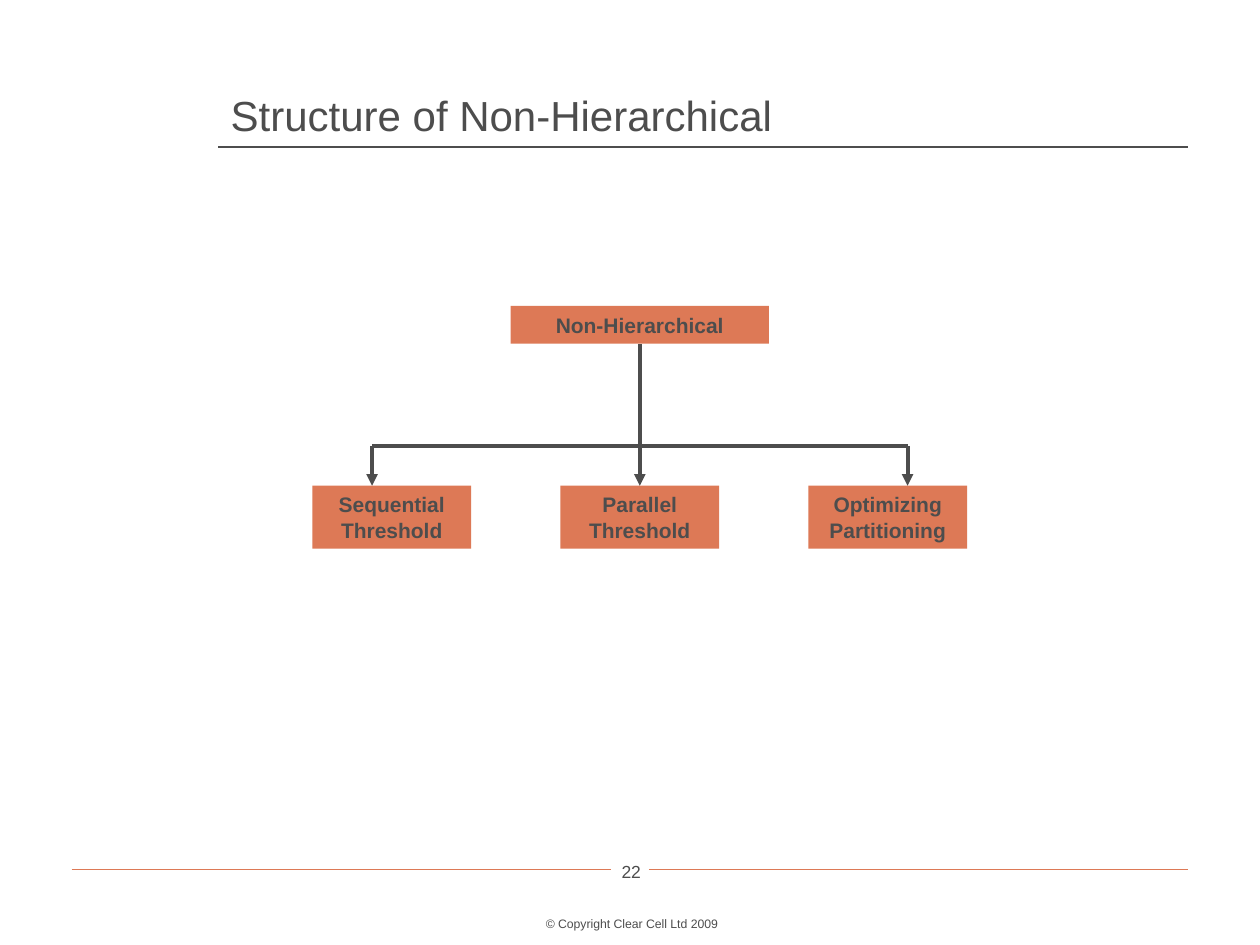
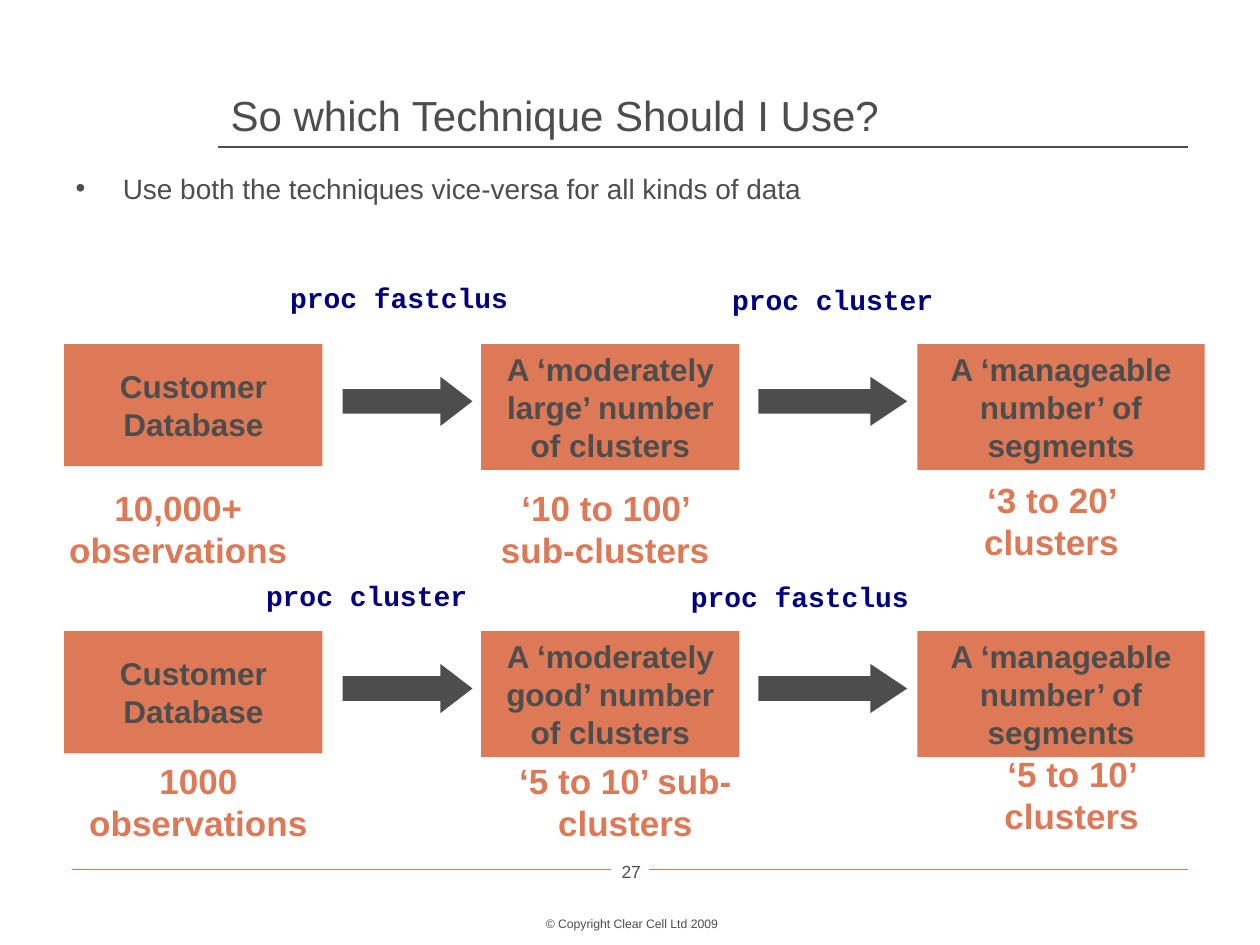
from lxml import etree
from pptx import Presentation
from pptx.dml.color import RGBColor
from pptx.enum.shapes import MSO_CONNECTOR, MSO_SHAPE
from pptx.enum.text import MSO_ANCHOR, MSO_AUTO_SIZE, PP_ALIGN
from pptx.oxml.ns import qn
from pptx.util import Pt

STRAIGHT = MSO_CONNECTOR.STRAIGHT
RECTANGLE, RIGHT_ARROW = MSO_SHAPE.RECTANGLE, MSO_SHAPE.RIGHT_ARROW
TOP, MIDDLE, BOTTOM = MSO_ANCHOR.TOP, MSO_ANCHOR.MIDDLE, MSO_ANCHOR.BOTTOM
LEFT, CENTER = PP_ALIGN.LEFT, PP_ALIGN.CENTER
FIXED_SIZE = MSO_AUTO_SIZE.NONE

COLORS = {"text": "4D4D4D", "accent": "DD7956", "code": "000080"}


def write_text(shape, text, size, color="text", font="Arial", bold=False,
               align=CENTER, anchor=TOP, wrap=True):
    frame = shape.text_frame
    frame.text = text
    paragraph = frame.paragraphs[0]
    frame_format = {"auto_size": FIXED_SIZE, "word_wrap": wrap, "vertical_anchor": anchor}
    paragraph_format = {"alignment": align, "space_before": Pt(0)}
    font_format = {"name": font, "size": Pt(size), "bold": bold}
    run_font = paragraph.runs[0].font
    for target, values in ((frame, frame_format), (paragraph, paragraph_format),
                           (run_font, font_format)):
        for name, value in values.items():
            setattr(target, name, value)
    run_font.color.rgb = RGBColor.from_string(COLORS[color])


def add_line(slide, x1, y1, x2, y2, color="text", width=0.75, arrow=False):
    line = slide.shapes.add_connector(STRAIGHT, Pt(x1), Pt(y1), Pt(x2), Pt(y2))
    line.line.color.rgb = RGBColor.from_string(COLORS[color])
    line.line.width = Pt(width)
    if arrow:
        etree.SubElement(line.line._get_or_add_ln(), qn("a:tailEnd"), type="triangle")
    etree.SubElement(line._element.spPr, qn("a:effectLst"))


presentation = Presentation()
presentation.slide_width, presentation.slide_height = Pt(720), Pt(540)

# Shared title style, rules and footer
slides = []
for layout_index, title, number in ((5, "Structure of Non-Hierarchical", "22"),
                                    (1, "So which Technique Should I Use?", "27")):
    slide = presentation.slides.add_slide(presentation.slide_layouts[layout_index])
    slides.append(slide)
    heading = slide.shapes.title
    heading.left, heading.top, heading.width, heading.height = Pt(124.6), Pt(43.2), Pt(560), Pt(40.3)
    write_text(heading, title, 24, align=LEFT, anchor=BOTTOM)
    add_line(slide, 124.6, 84, 679, 84)
    for start, end in ((41, 349.2), (370.8, 679)):
        add_line(slide, start, 496.8, end, 496.8, "accent")
    for text, size, left, top, width, height in (
            (number, 10, 345.6, 488.2, 30.2, 23.8),
            ("© Copyright Clear Cell Ltd 2009", 7, 264.2, 519.8, 193.7, 15.8)):
        footer = slide.shapes.add_textbox(Pt(left), Pt(top), Pt(width), Pt(height))
        write_text(footer, text, size)

structure_slide, technique_slide = slides

# Tree: parent box, trunk, crossbar and three child boxes
CENTER_X, BRANCH_STEP, CHILD_STEP = 365.6, 153, 141.7
PARENT_BOTTOM, CROSSBAR_Y, CHILD_TOP = 196.6, 254.9, 277.6
tree_boxes = [("Non-Hierarchical", CENTER_X, 174.8, 147.6, 21.6)]
for offset, label in zip((-1, 0, 1), ("Sequential Threshold", "Parallel Threshold",
                                      "Optimizing Partitioning")):
    tree_boxes.append((label, CENTER_X + offset * CHILD_STEP, CHILD_TOP, 90.7, 36))
    branch_x = CENTER_X + offset * BRANCH_STEP
    add_line(structure_slide, branch_x, CROSSBAR_Y, branch_x, CHILD_TOP, width=2.25, arrow=True)
add_line(structure_slide, CENTER_X - BRANCH_STEP, CROSSBAR_Y,
         CENTER_X + BRANCH_STEP, CROSSBAR_Y, width=2.25)
add_line(structure_slide, CENTER_X, PARENT_BOTTOM, CENTER_X, CROSSBAR_Y, width=2.25)
for label, middle, top, width, height in tree_boxes:
    box = structure_slide.shapes.add_shape(
        RECTANGLE, Pt(middle - width / 2), Pt(top), Pt(width), Pt(height))
    box.shadow.inherit = False
    box.fill.solid()
    box.fill.fore_color.rgb = RGBColor.from_string(COLORS["accent"])
    box.line.fill.background()
    write_text(box, label, 12, bold=True)

# Bullet list
body = technique_slide.placeholders[1]
body.left, body.top, body.width, body.height = Pt(36), Pt(94.3), Pt(648), Pt(388)
body.text_frame.text = "Use both the techniques vice-versa for all kinds of data"
properties = body.text_frame.paragraphs[0]._p.get_or_add_pPr()
properties.set("marL", str(Pt(27)))
properties.set("indent", str(-Pt(27)))
bullet_color = etree.SubElement(properties, qn("a:buClr"))
etree.SubElement(bullet_color, qn("a:srgbClr"), val=COLORS["accent"])
etree.SubElement(properties, qn("a:buChar"), char="•")
write_text(body, body.text_frame.text, 16, align=LEFT)

# Two flows: boxes joined by arrows, captions below, procedure names above
box_columns = ((36.7, 147.6, 69.8, MIDDLE), (275, 147.6, 72, TOP), (524.2, 164.2, 72, TOP))
arrow_columns = ((195.8, 74.2, 0.65), (433.4, 85, 0.75))
caption_columns = ((31, 0), (275, 0), (530, -4.3))
flows = (
    {"top": 196.6, "quality": "large", "caption_top": 274.3, "caption_shift": 0,
     "captions": ("10,000+ observations", "‘10 to 100’ sub-clusters", "‘3 to 20’ clusters"),
     "procedures": (("proc fastclus", 158.4, 157), ("proc cluster", 411.1, 157.7))},
    {"top": 360.7, "quality": "good", "caption_top": 430.6, "caption_shift": 11.5,
     "captions": ("1000 observations", "‘5 to 10’ sub-clusters", "‘5 to 10’ clusters"),
     "procedures": (("proc cluster", 144.7, 326.9), ("proc fastclus", 387.4, 327.6))},
)
for flow in flows:
    labels = ("Customer Database", f"A ‘moderately {flow['quality']}’ number of clusters",
              "A ‘manageable number’ of segments")
    filled_shapes = []
    for label, (left, width, height, anchor) in zip(labels, box_columns):
        box = technique_slide.shapes.add_shape(
            RECTANGLE, Pt(left), Pt(flow["top"]), Pt(width), Pt(height))
        write_text(box, label, 18, bold=True, anchor=anchor)
        filled_shapes.append((box, "accent"))
    for left, width, head in arrow_columns:
        arrow = technique_slide.shapes.add_shape(
            RIGHT_ARROW, Pt(left), Pt(flow["top"] + 18.7), Pt(width), Pt(28.1))
        arrow.adjustments[1] = head
        filled_shapes.append((arrow, "text"))
    for shape, color in filled_shapes:
        shape.shadow.inherit = False
        shape.fill.solid()
        shape.fill.fore_color.rgb = RGBColor.from_string(COLORS[color])
        shape.line.fill.background()
    for text, (left, rise) in zip(flow["captions"], caption_columns):
        caption = technique_slide.shapes.add_textbox(
            Pt(left + flow["caption_shift"]), Pt(flow["caption_top"] + rise), Pt(141.8), Pt(55.4))
        write_text(caption, text, 20, "accent", bold=True)
    for text, left, top in flow["procedures"]:
        width = 9.6 * len(text) + 14.4
        procedure = technique_slide.shapes.add_textbox(Pt(left), Pt(top), Pt(width), Pt(26.6))
        write_text(procedure, text, 16, "code", "Courier New", bold=True, wrap=False)

presentation.save("out.pptx")
